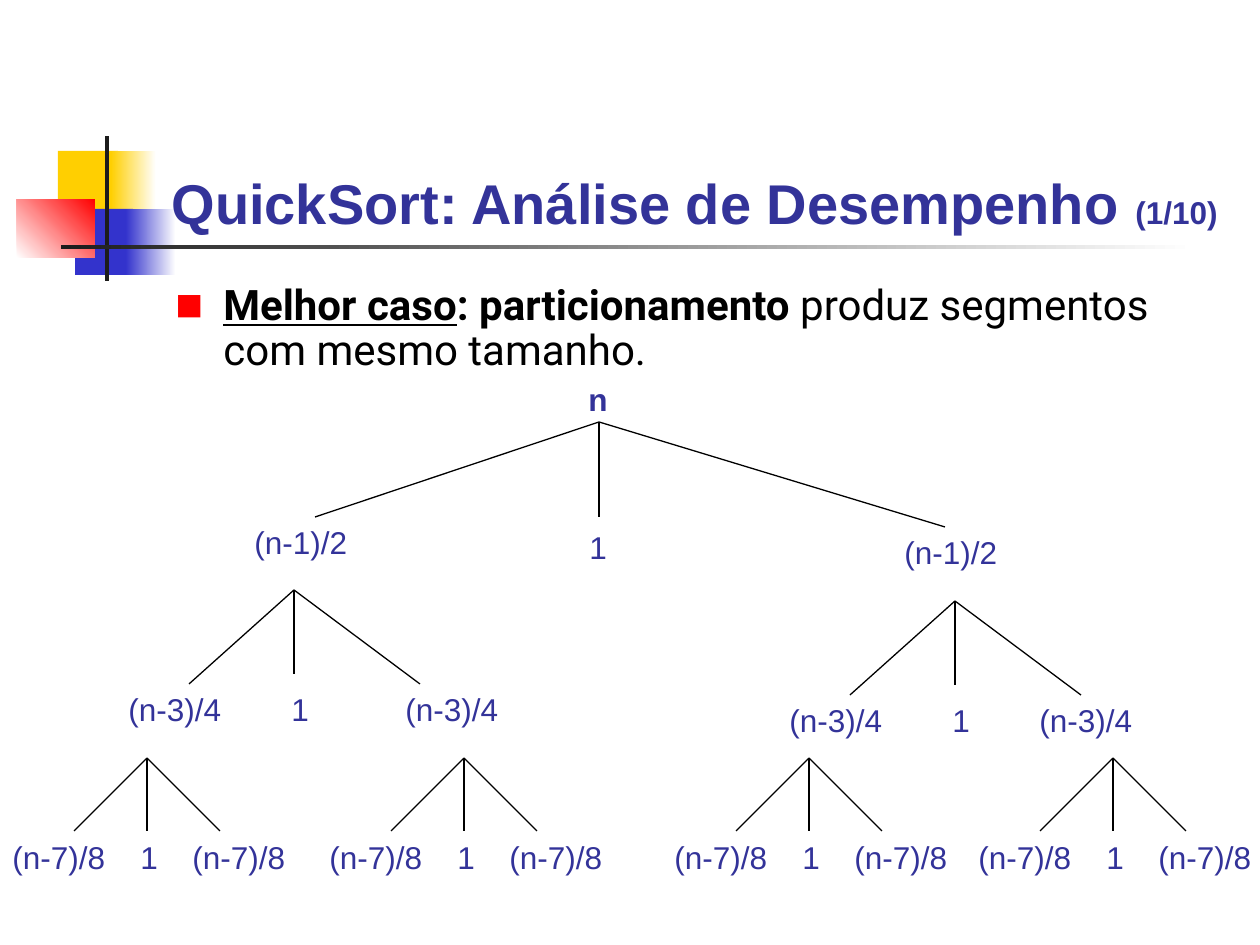
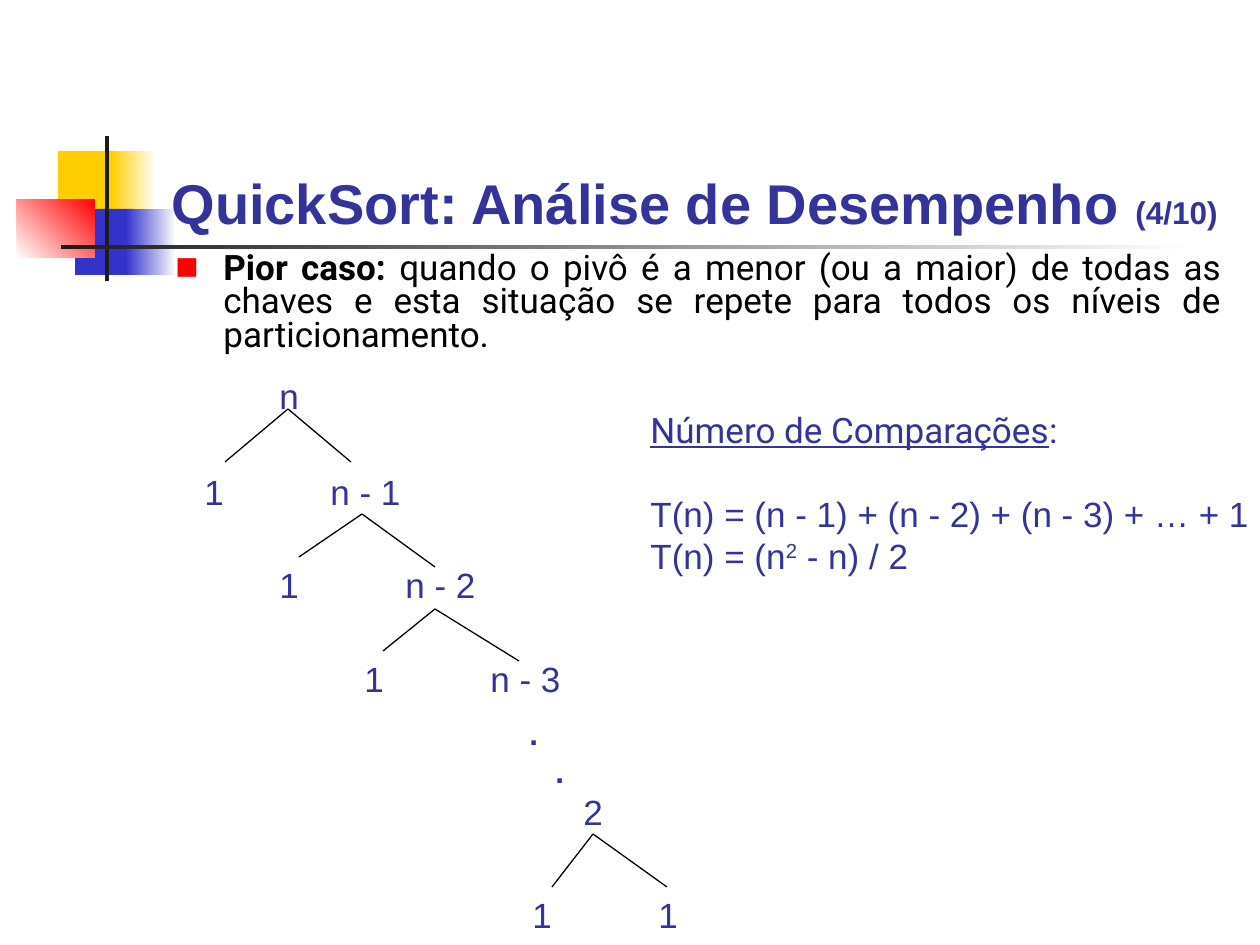
import pptx
import pptx.dml.color
import pptx.enum.shapes
import pptx.enum.text
import pptx.oxml.ns
import pptx.util
from lxml import etree

RGB = pptx.dml.color.RGBColor
ALIGN = pptx.enum.text.PP_ALIGN
ANCHOR = pptx.enum.text.MSO_ANCHOR

INDIGO = RGB(0x33, 0x33, 0x99)
BLUE = RGB(0x33, 0x33, 0xCC)
YELLOW = RGB(0xFF, 0xCF, 0x01)
RED = RGB(0xFF, 0x00, 0x00)
DARK = RGB(0x1C, 0x1C, 0x1C)
BLACK = RGB(0x00, 0x00, 0x00)
WHITE = RGB(0xFF, 0xFF, 0xFF)

TITLE_ONLY = 5
PX_PER_INCH = 126
TAB = 126

# Left, top, width, height, first colour, last colour, angle
DECORATION = [
    (58, 151, 60, 66, YELLOW, None, 0),
    (111, 151, 45, 66, YELLOW, WHITE, 0),
    (75, 209, 58, 66, BLUE, None, 0),
    (126, 209, 50, 66, BLUE, WHITE, 0),
    (17, 199, 78, 59, WHITE, RED, 45),
    (105, 136, 4, 145, DARK, None, 0),
    (61, 245, 1134, 4, DARK, WHITE, 0),
]


def px(n):
    return pptx.util.Emu(round(n * 914400 / PX_PER_INCH))


def sub(parent, tag, **attrs):
    return etree.SubElement(parent, pptx.oxml.ns.qn(tag), attrs)


# Text
def add_run(p, text, size, font="Arial", color=INDIGO, bold=False, underline=False):
    r = p.add_run()
    r.text = text
    f = r.font
    f.size, f.name, f.bold, f.underline = pptx.util.Pt(size), font, bold, underline
    f.color.rgb = color
    return r


def add_textbox(s, x, y, w, h, wrap=False):
    tf = s.shapes.add_textbox(px(x), px(y), px(w), px(h)).text_frame
    tf.word_wrap = wrap
    if not wrap:
        tf.margin_right = 0  # room for the whole line
    return tf


def add_labels(s, x, y, w, texts, stops=(), size=18, bold=False):
    """One row of node labels, each after the first on a tab stop."""
    p = add_textbox(s, x, y, w, 50 if size == 18 else 55).paragraphs[0]
    add_run(p, "\t".join(texts), size, bold=bold)
    if stops:
        tabs = sub(p._p.get_or_add_pPr(), "a:tabLst")
        for stop in stops:
            sub(tabs, "a:tab", pos=str(px(stop)), algn="l")


def add_bullet_text(s, y, size, spacing, parts, align=ALIGN.LEFT):
    """parts holds (text, bold, underline) runs."""
    p = add_textbox(s, 163, y, 1071, 131, wrap=True).paragraphs[0]
    p.alignment, p.line_spacing = align, spacing
    for text, bold, underline in parts:
        add_run(p, text, size, "Roboto", BLACK, bold, underline)
    pPr = p._p.get_or_add_pPr()
    pPr.set("marL", str(px(48)))
    pPr.set("indent", str(-px(48)))
    sub(sub(pPr, "a:buClr"), "a:srgbClr", val=str(RED))
    sub(pPr, "a:buSzPct", val="110000")
    sub(pPr, "a:buFont", typeface="Arial")
    sub(pPr, "a:buChar", char="■")


# Shapes
def add_block(s, x, y, w, h, first, last, angle):
    sp = s.shapes.add_shape(pptx.enum.shapes.MSO_SHAPE.RECTANGLE,
                            px(x), px(y), px(w), px(h))
    sp.shadow.inherit = False
    sp.line.fill.background()
    if last is None:
        sp.fill.solid()
        sp.fill.fore_color.rgb = first
    else:
        sp.fill.gradient()
        sp.fill.gradient_angle = angle
        for stop, color in zip(sp.fill.gradient_stops, (first, last)):
            stop.color.rgb = color


def add_fork(s, x, y, *offsets):
    """Branches from a node at (x, y) to each (dx, dy) below it."""
    for dx, dy in offsets:
        line = s.shapes.add_connector(pptx.enum.shapes.MSO_CONNECTOR.STRAIGHT,
                                      px(x), px(y), px(x + dx), px(y + dy))
        line.line.color.rgb = BLACK
        line.line.width = pptx.util.Pt(0.75)
        sub(line._element.spPr, "a:effectLst")


# Shared slide frame
def add_slide(prs, part):
    s = prs.slides.add_slide(prs.slide_layouts[TITLE_ONLY])
    for block in DECORATION:
        add_block(s, *block)
    title = s.shapes.title
    s.shapes._spTree.append(title._element)
    title.left, title.top, title.width, title.height = px(159), px(84), px(1074), px(158)
    tf = title.text_frame
    tf.auto_size = pptx.enum.text.MSO_AUTO_SIZE.NONE
    tf.vertical_anchor = ANCHOR.BOTTOM
    tf.margin_right = 0
    p = tf.paragraphs[0]
    p.alignment = ALIGN.LEFT
    add_run(p, "QuickSort: Análise de Desempenho ", 32, bold=True)
    add_run(p, f"({part}/10)", 18, bold=True)
    return s


def add_best_case(prs):
    s = add_slide(prs, 1)
    add_bullet_text(s, 278, 24, 0.9, [
        ("Melhor caso", True, True),
        (": particionamento", True, False),
        (" produz segmentos com mesmo tamanho.", False, False),
    ])

    # Root and first level
    add_labels(s, 576, 374, 44, ["n"], bold=True)
    add_fork(s, 599, 422, (-284, 95), (0, 95), (346, 105))
    add_labels(s, 242, 517, 117, ["(n-1)/2"])
    add_labels(s, 577, 522, 43, ["1"])
    add_labels(s, 892, 527, 117, ["(n-1)/2"])

    # Second level
    for x, y, label_x, width, stops in [(294, 590, 116, 416, (163, 277)),
                                        (955, 601, 777, 368, (163, 250))]:
        add_fork(s, x, y, (-105, 94), (0, 84), (126, 94))
        add_labels(s, label_x, y + 94, width, ["(n-3)/4", "1", "(n-3)/4"], stops)

    # Third level
    for x in (147, 464, 809, 1113):
        add_fork(s, x, 758, (-73, 73), (0, 73), (73, 73))
        add_labels(s, x - 147, 832, 298, ["(n-7)/8", "1", "(n-7)/8"], (128, 180))


def add_worst_case(prs):
    s = add_slide(prs, 4)
    add_bullet_text(s, 247, 20, 0.8, [
        ("Pior caso: ", True, False),
        ("quando o pivô é a menor (ou a maior) de todas as chaves e esta situação "
         "se repete para todos os níveis de particionamento.", False, False),
    ], ALIGN.JUSTIFY)

    # Tree that loses one key per level
    add_labels(s, 267, 368, 44, ["n"], size=20)
    add_fork(s, 288, 409, (-63, 53), (63, 53))
    add_fork(s, 362, 514, (-63, 43), (73, 53))
    add_fork(s, 435, 609, (-52, 42), (84, 52))
    for level, (x, y) in enumerate([(192, 464), (267, 557), (352, 651)], 1):
        add_labels(s, x, y, 230, ["1", f"n - {level}"], (TAB,), 20)

    # Dots and last level
    tf = add_textbox(s, 517, 708, 87, 90, wrap=True)
    add_run(tf.paragraphs[0], ".", 18, bold=True)
    p = tf.add_paragraph()
    p._p.get_or_add_pPr().set("marL", str(px(26)))
    add_run(p, ".", 18, bold=True)
    add_labels(s, 571, 784, 44, ["2"], size=20)
    add_fork(s, 593, 834, (-41, 53), (74, 53))
    add_labels(s, 520, 887, 180, ["1", "1"], (TAB,), 20)

    # Number of comparisons
    tf = add_textbox(s, 638, 402, 622, 181)
    p = tf.paragraphs[0]
    add_run(p, "Número de Comparações", 20, "Roboto", underline=True)
    add_run(p, ":", 20, "Roboto")
    p = tf.add_paragraph()
    p.space_before = pptx.util.Pt(24)
    add_run(p, "T(n) = (n - 1) + (n - 2) + (n - 3) + … + 1", 20)
    p = tf.add_paragraph()
    add_run(p, "T(n) = (n", 20)
    add_run(p, "2", 20)._r.get_or_add_rPr().set("baseline", "30000")
    add_run(p, " - n) / 2", 20)


def main():
    prs = pptx.Presentation()
    prs.slide_width, prs.slide_height = px(1260), px(945)
    add_best_case(prs)
    add_worst_case(prs)
    prs.save("out.pptx")


if __name__ == "__main__":
    main()
